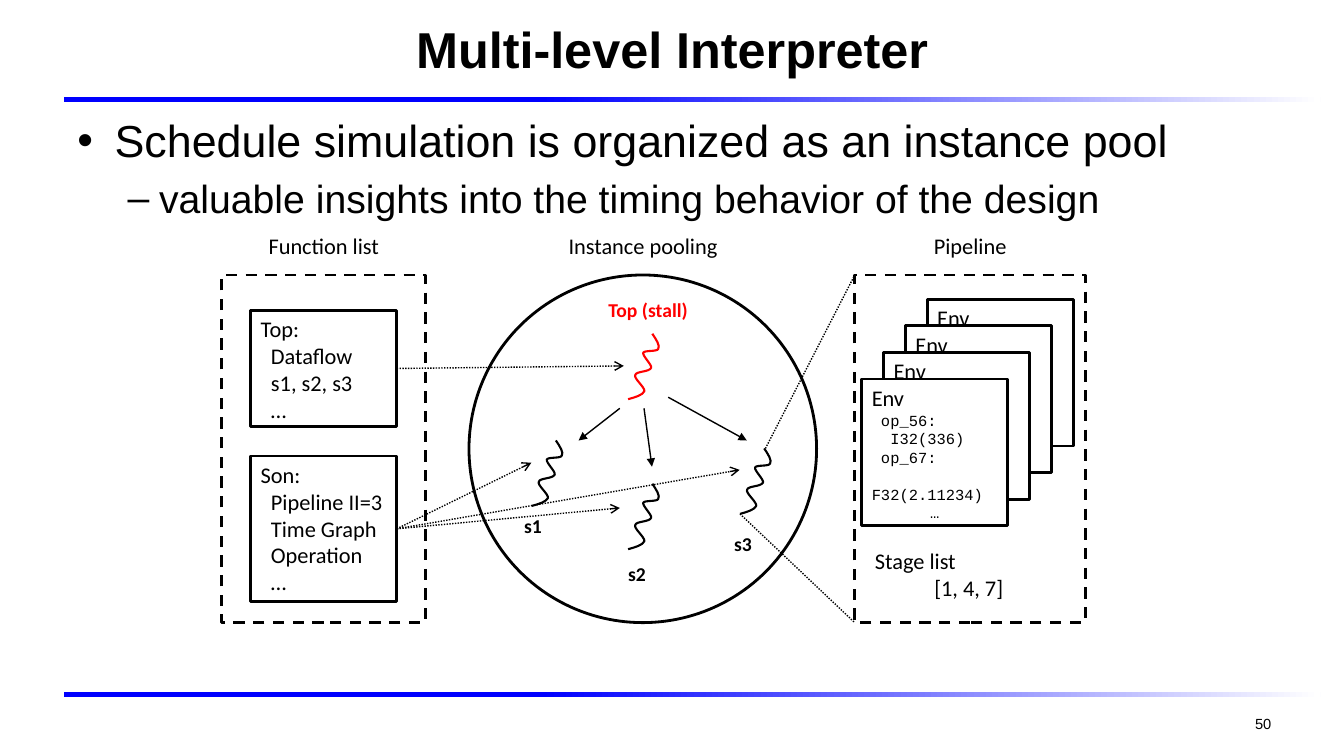
from dataclasses import dataclass

from lxml.etree import SubElement
from pptx import Presentation
from pptx.dml.color import RGBColor
from pptx.enum.dml import MSO_LINE
from pptx.enum.shapes import MSO_CONNECTOR, MSO_SHAPE
from pptx.enum.text import MSO_ANCHOR, PP_ALIGN
from pptx.oxml.ns import qn
from pptx.util import Cm, Pt


@dataclass(frozen=True)
class Style:
    size: float
    font: str = "Calibri"
    bold: bool = False
    color: str = "000000"
    align: PP_ALIGN = PP_ALIGN.LEFT
    left: float = 0  # indent in cm
    hang: float = 0
    mark: str = ""
    before: float = 0


class Theme:
    black, white, blue, red = "000000", "FFFFFF", "0000FF", "FF0000"
    thin, curve, thick = 1, 1.5, 2
    title = Style(36, "Arial", True, align=PP_ALIGN.CENTER)
    point = Style(32, "Arial", left=0.94, hang=0.94, mark="•")
    sub = Style(28, "Arial", left=2.06, hang=0.79, mark="–", before=5.6)
    page = Style(10.5, "Arial", align=PP_ALIGN.RIGHT)
    head = Style(16, align=PP_ALIGN.CENTER)
    text = Style(16)
    item = Style(16, left=0.26)
    code = Style(11, "Courier New")
    more = Style(11, "Courier New", align=PP_ALIGN.CENTER)
    tag = Style(14, bold=True, align=PP_ALIGN.CENTER)
    stall = Style(14, bold=True, color=red, align=PP_ALIGN.CENTER)


T = Theme

# Content: lengths in cm, frames as left, top, width, height
title = ("Multi-level Interpreter", (1.73, 0.12, 30.43, 2.21))
points = [
    ("Schedule simulation is organized as an instance pool", T.point),
    ("valuable insights into the timing behavior of the design", T.sub),
]
zones = [
    ("Function list", MSO_SHAPE.RECTANGLE, 5.59, 5.13),
    ("Instance pooling", MSO_SHAPE.OVAL, 11.82, 8.76),
    ("Pipeline", MSO_SHAPE.RECTANGLE, 21.54, 5.81),
]
funcs = [
    ("Top:", ["Dataflow", "s1, s2, s3", "…"], 7.82, 2.93, [(15.72, 9.22)]),
    ("Son:", ["Pipeline II=3", "Time Graph", "Operation", "…"], 11.49, 3.67,
     [(13.39, 11.66), (15.62, 12.8), (18.64, 11.84)]),
]
threads = [  # label, style, label frame, curve corner, curve colour
    ("Top (stall)", T.stall, (14.81, 7.39, 3.05, 0.86), (15.83, 8.41), T.red),
    ("s1", T.tag, (12.65, 12.83, 1.57, 0.86), (13.4, 11.1), T.black),
    ("s2", T.tag, (15.27, 14.03, 1.57, 0.86), (15.83, 12.19), T.black),
    ("s3", T.tag, (17.94, 13.28, 1.57, 0.86), (18.65, 11.3), T.black),
]
calls = [
    ((15.62, 10.29), (14.58, 11.1)),
    ((16.23, 10.29), (16.43, 11.76)),
    ((16.84, 10.01), (18.82, 11.1)),
]
env = [("Env", T.text)]
ops = [(" op_56:", T.code), ("  I32(336)", T.code), (" op_67:", T.code),
       ("  F32(2.11234)", T.code), ("…", T.more)]
stages = [("Stage list", T.text), ("[1, 4, 7]", T.head)]

# Thread curve: start, then cubic pieces (two handles and an end)
start = (0.61, 0)
bends = [
    ((0.71, 0.15), (0.81, 0.3), (0.76, 0.38)),
    ((0.74, 0.46), (0.41, 0.41), (0.38, 0.48)),
    ((0.36, 0.56), (0.61, 0.79), (0.58, 0.86)),
    ((0.53, 0.97), (0.2, 0.94), (0.18, 1.04)),
    ((0.13, 1.12), (0.43, 1.35), (0.41, 1.45)),
    ((0.36, 1.55), (0.18, 1.6), (0, 1.65)),
]
zone_top, zone_high = 6.93, 8.76

deck = Presentation()
deck.slide_width, deck.slide_height = Cm(33.87), Cm(19.05)
slide = deck.slides.add_slide(deck.slide_layouts[6])
shapes = slide.shapes


def rgb(code):
    return RGBColor.from_string(code)


def write(frame, rows, anchor=MSO_ANCHOR.TOP):
    frame.word_wrap = True
    frame.vertical_anchor = anchor
    for i, (words, style) in enumerate(rows):
        para = frame.add_paragraph() if i else frame.paragraphs[0]
        para.text = words
        para.alignment = style.align
        if style.before:
            para.space_before = Pt(style.before)
        if style.left:
            props = para._p.get_or_add_pPr()
            props.set("marL", str(Cm(style.left)))
            props.set("indent", str(-Cm(style.hang)))
            if style.mark:
                SubElement(props, qn("a:buFont")).set("typeface", style.font)
                SubElement(props, qn("a:buChar")).set("char", style.mark)
        font = para.font
        font.size, font.name, font.bold = Pt(style.size), style.font, style.bold
        font.color.rgb = rgb(style.color)


def label(rows, box, anchor=MSO_ANCHOR.TOP):
    write(shapes.add_textbox(*map(Cm, box)).text_frame, rows, anchor)


def stroke(line, width, color=T.black, dash=None):
    line.width = Pt(width)
    line.color.rgb = rgb(color)
    if dash:
        line.dash_style = dash


def shape(kind, box, fill=None, dash=None):
    part = shapes.add_shape(kind, *map(Cm, box))
    part.shadow.inherit = False
    if fill:
        part.fill.solid()
        part.fill.fore_color.rgb = rgb(fill)
    else:
        part.fill.background()
    stroke(part.line, T.thick, dash=dash)
    return part


def card(rows, box):
    part = shape(MSO_SHAPE.RECTANGLE, box, T.white)
    write(part.text_frame, rows)
    return part


def link(a, b, dash=None, tip=None):
    line = shapes.add_connector(MSO_CONNECTOR.STRAIGHT, *map(Cm, a + b))
    stroke(line.line, T.thin, dash=dash)
    if tip:
        SubElement(line.line._get_or_add_ln(), qn("a:tailEnd")).set("type", tip)
    SubElement(line._element.spPr, qn("a:effectLst"))
    return line


def curve(corner, color):
    left, top = corner
    pen = shapes.build_freeform(Cm(left + start[0]), Cm(top + start[1]))
    pen.add_line_segments(
        [(Cm(left + x), Cm(top + y)) for *_, (x, y) in bends], close=False)
    part = pen.convert_to_shape()
    # Bend each straight piece with its two handles
    for piece, bend in zip(list(part._element.iter(qn("a:lnTo"))), bends):
        piece.tag = qn("a:cubicBezTo")
        piece.remove(piece[0])
        for x, y in bend:
            spot = SubElement(piece, qn("a:pt"))
            spot.set("x", str(Cm(x)))
            spot.set("y", str(Cm(y)))
    part.shadow.inherit = False
    part.fill.background()
    stroke(part.line, T.curve, color)


# Fading rules, title, bullets and page number
for top in (2.44, 17.43):
    bar = shape(MSO_SHAPE.RECTANGLE, (1.61, top, 31.67, 0.13))
    bar.line.fill.background()
    bar.fill.gradient()
    bar.fill.gradient_angle = 0
    for stop, spot, color in zip(bar.fill.gradient_stops, (0.38, 1), (T.blue, T.white)):
        stop.position, stop.color.rgb = spot, rgb(color)
label([(title[0], T.title)], title[1], MSO_ANCHOR.MIDDLE)
label(points, (1.7, 2.72, 30.48, 14.3))
label([("50", T.page)], (24.39, 17.73, 7.9, 1.02), MSO_ANCHOR.MIDDLE)

# Three zones, each with a centred heading
for name, kind, left, wide in zones:
    dash = MSO_LINE.DASH if kind == MSO_SHAPE.RECTANGLE else None
    shape(kind, (left, zone_top, wide, zone_high), dash=dash)
    label([(name, T.head)], (left + wide / 2 - 2.61, 5.72, 5.23, 0.94))

# Threads in the pool
for name, style, box, corner, color in threads:
    curve(corner, color)
    label([(name, style)], box)
for a, b in calls:
    link(a, b, tip="triangle")

# Zoom lines from s3 to the pipeline, then its stacked stages
x, y = threads[-1][3]
pipe = zones[-1][2]
link((x + 0.64, y), (pipe, zone_top), MSO_LINE.ROUND_DOT)
link((x, y + 1.65), (pipe, zone_top + zone_high), MSO_LINE.ROUND_DOT)
for i in range(4):
    card(env + ops if i == 3 else env,
         (23.37 - 0.55 * i, 7.54 + 0.67 * i, 3.68, 3.7))
label(stages, (21.8, 13.67, 5.23, 1.63))

# Functions and the threads they start
for name, items, top, high, ends in funcs:
    rows = [(name, T.text)] + [(item, T.item) for item in items]
    box = card(rows, (6.32, top, 3.68, high))
    for end in ends:
        line = link((10, top + high / 2), end, MSO_LINE.ROUND_DOT, "arrow")
        line.begin_connect(box, 3)

deck.save("out.pptx")
